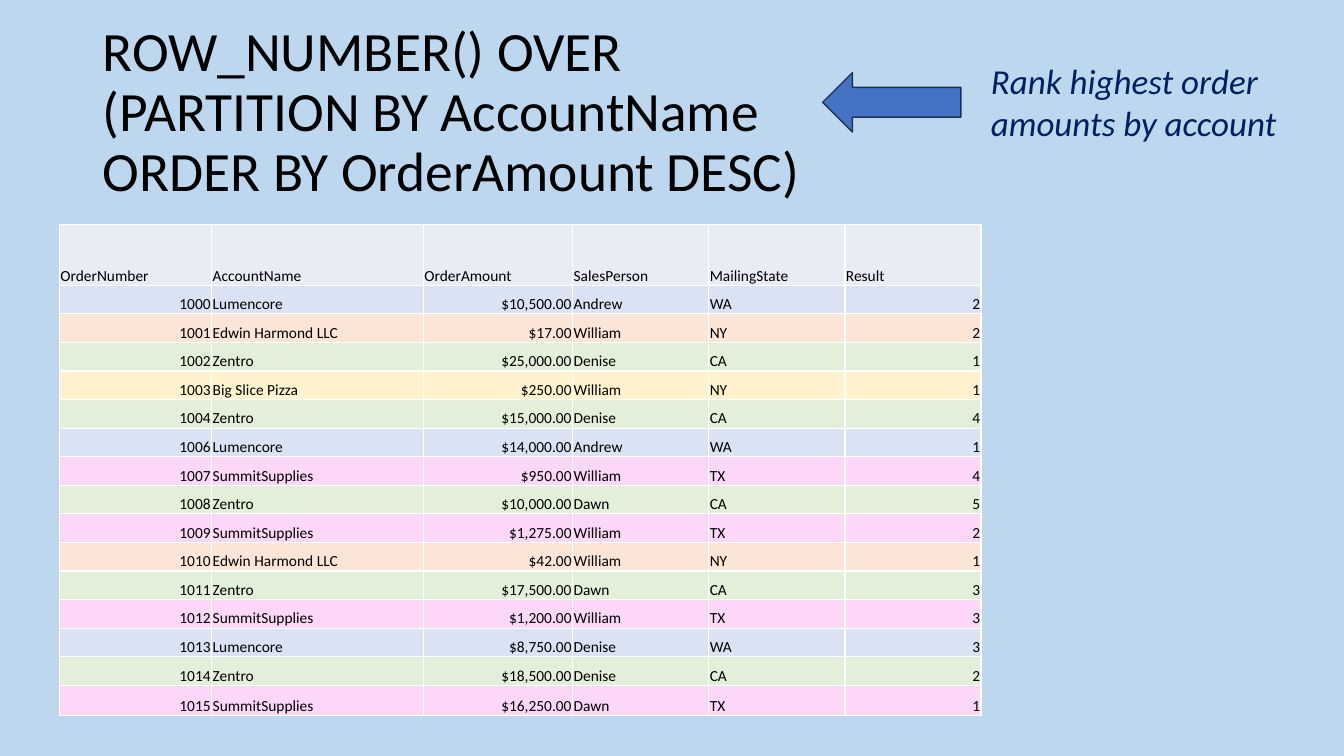
from pptx import Presentation
from pptx.dml.color import RGBColor
from pptx.enum.shapes import MSO_SHAPE
from pptx.enum.text import MSO_ANCHOR, PP_ALIGN
from pptx.oxml.ns import qn
from pptx.util import Inches, Pt
from lxml import etree

LEFT_ARROW = MSO_SHAPE.LEFT_ARROW
TOP, MIDDLE, BOTTOM = MSO_ANCHOR.TOP, MSO_ANCHOR.MIDDLE, MSO_ANCHOR.BOTTOM
LEFT, RIGHT = PP_ALIGN.LEFT, PP_ALIGN.RIGHT

FONT = "Calibri"
BACKGROUND = RGBColor(0xBD, 0xD7, 0xEE)
BLACK = RGBColor(0x00, 0x00, 0x00)
WHITE = RGBColor(0xFF, 0xFF, 0xFF)
NAVY = RGBColor(0x00, 0x20, 0x60)
ARROW_FILL = RGBColor(0x44, 0x72, 0xC4)
ARROW_LINE = RGBColor(0x1E, 0x32, 0x56)
HEADER_FILL = RGBColor(0xE9, 0xEB, 0xF5)

# Each account has its own row colour
ACCOUNT_FILLS = {
    "Lumencore": RGBColor(0xDA, 0xE3, 0xF3),
    "Edwin Harmond LLC": RGBColor(0xFB, 0xE5, 0xD6),
    "Zentro": RGBColor(0xE2, 0xF0, 0xD9),
    "Big Slice Pizza": RGBColor(0xFF, 0xF2, 0xCC),
    "SummitSupplies": RGBColor(0xFD, 0xD7, 0xF8),
}

TITLE_LINES = [
    "ROW_NUMBER() OVER",
    "(PARTITION BY AccountName",
    "ORDER BY OrderAmount DESC)",
]
COLUMNS = ["OrderNumber", "AccountName", "OrderAmount",
           "SalesPerson", "MailingState", "Result"]
COLUMN_WIDTHS = [1.51, 2.1, 1.48, 1.35, 1.35, 1.35]
COLUMN_ALIGNS = [RIGHT, LEFT, RIGHT, LEFT, LEFT, RIGHT]
ORDERS = [
    ("1000", "Lumencore", "$10,500.00", "Andrew", "WA", "2"),
    ("1001", "Edwin Harmond LLC", "$17.00", "William", "NY", "2"),
    ("1002", "Zentro", "$25,000.00", "Denise", "CA", "1"),
    ("1003", "Big Slice Pizza", "$250.00", "William", "NY", "1"),
    ("1004", "Zentro", "$15,000.00", "Denise", "CA", "4"),
    ("1006", "Lumencore", "$14,000.00", "Andrew", "WA", "1"),
    ("1007", "SummitSupplies", "$950.00", "William", "TX", "4"),
    ("1008", "Zentro", "$10,000.00", "Dawn", "CA", "5"),
    ("1009", "SummitSupplies", "$1,275.00", "William", "TX", "2"),
    ("1010", "Edwin Harmond LLC", "$42.00", "William", "NY", "1"),
    ("1011", "Zentro", "$17,500.00", "Dawn", "CA", "3"),
    ("1012", "SummitSupplies", "$1,200.00", "William", "TX", "3"),
    ("1013", "Lumencore", "$8,750.00", "Denise", "WA", "3"),
    ("1014", "Zentro", "$18,500.00", "Denise", "CA", "2"),
    ("1015", "SummitSupplies", "$16,250.00", "Dawn", "TX", "1"),
]
TABLE_HEIGHT, HEADER_HEIGHT, LAST_HEIGHT = 4.87, 0.6, 0.3


def add_run(paragraph, text, size, color, italic=False):
    run = paragraph.add_run()
    run.text = text
    run.font.name = FONT
    run.font.size = Pt(size)
    run.font.color.rgb = color
    run.font.italic = italic


def add_text(slide, box, lines, size, color, anchor=TOP, italic=False, spacing=1.0):
    frame = slide.shapes.add_textbox(*map(Inches, box)).text_frame
    frame.word_wrap = True
    frame.vertical_anchor = anchor
    paragraph = frame.paragraphs[0]
    paragraph.line_spacing = spacing
    for index, line in enumerate(lines):
        if index:
            paragraph.add_line_break()
        add_run(paragraph, line, size, color, italic)


def add_arrow(slide, box):
    arrow = slide.shapes.add_shape(LEFT_ARROW, *map(Inches, box))
    arrow.shadow.inherit = False
    arrow.fill.solid()
    arrow.fill.fore_color.rgb = ARROW_FILL
    arrow.line.color.rgb = ARROW_LINE
    arrow.line.width = Pt(1)


def set_borders(cell):
    properties = cell._tc.get_or_add_tcPr()
    # Borders come before the fill in the cell properties
    for position, side in enumerate(("a:lnL", "a:lnR", "a:lnT", "a:lnB")):
        border = etree.Element(qn(side), w=str(Pt(1)))
        fill = etree.SubElement(border, qn("a:solidFill"))
        etree.SubElement(fill, qn("a:srgbClr"), val=str(WHITE))
        properties.insert(position, border)


def fill_cell(cell, text, align, fill):
    cell.margin_left = cell.margin_right = cell.margin_top = Inches(0.01)
    cell.margin_bottom = 0
    cell.vertical_anchor = BOTTOM
    cell.fill.solid()
    cell.fill.fore_color.rgb = fill
    set_borders(cell)
    paragraph = cell.text_frame.paragraphs[0]
    paragraph.alignment = align
    add_run(paragraph, text, 11, BLACK)


def add_orders_table(slide, left, top):
    table = slide.shapes.add_table(
        len(ORDERS) + 1, len(COLUMNS), Inches(left), Inches(top),
        Inches(sum(COLUMN_WIDTHS)), Inches(TABLE_HEIGHT)).table
    for column, width in zip(table.columns, COLUMN_WIDTHS):
        column.width = Inches(width)

    # The rows between the header and the last one share the height
    inner_count = len(ORDERS) - 1
    inner_height = (TABLE_HEIGHT - HEADER_HEIGHT - LAST_HEIGHT) / inner_count
    heights = [HEADER_HEIGHT] + [inner_height] * inner_count + [LAST_HEIGHT]
    for row, height in zip(table.rows, heights):
        row.height = Inches(height)

    for index, name in enumerate(COLUMNS):
        fill_cell(table.cell(0, index), name, LEFT, HEADER_FILL)
    for row_index, order in enumerate(ORDERS, start=1):
        fill = ACCOUNT_FILLS[order[1]]
        for index, (value, align) in enumerate(zip(order, COLUMN_ALIGNS)):
            fill_cell(table.cell(row_index, index), value, align, fill)


def main():
    prs = Presentation()
    prs.slide_width, prs.slide_height = Inches(13.33), Inches(7.5)
    slide = prs.slides.add_slide(prs.slide_layouts[6])
    slide.background.fill.solid()
    slide.background.fill.fore_color.rgb = BACKGROUND

    # Window function as the title
    add_text(slide, (0.92, 0.4, 11.5, 1.45), TITLE_LINES, 39.6, BLACK,
             anchor=MIDDLE, spacing=0.9)

    # Orders with their rank
    add_orders_table(slide, 0.59, 2.23)

    # Explanation pointing at the title
    add_text(slide, (9.73, 0.54, 3.16, 0.94),
             ["Rank highest order amounts by account"], 25, NAVY, italic=True)
    add_arrow(slide, (8.16, 0.72, 1.37, 0.59))

    prs.save("out.pptx")


if __name__ == "__main__":
    main()
